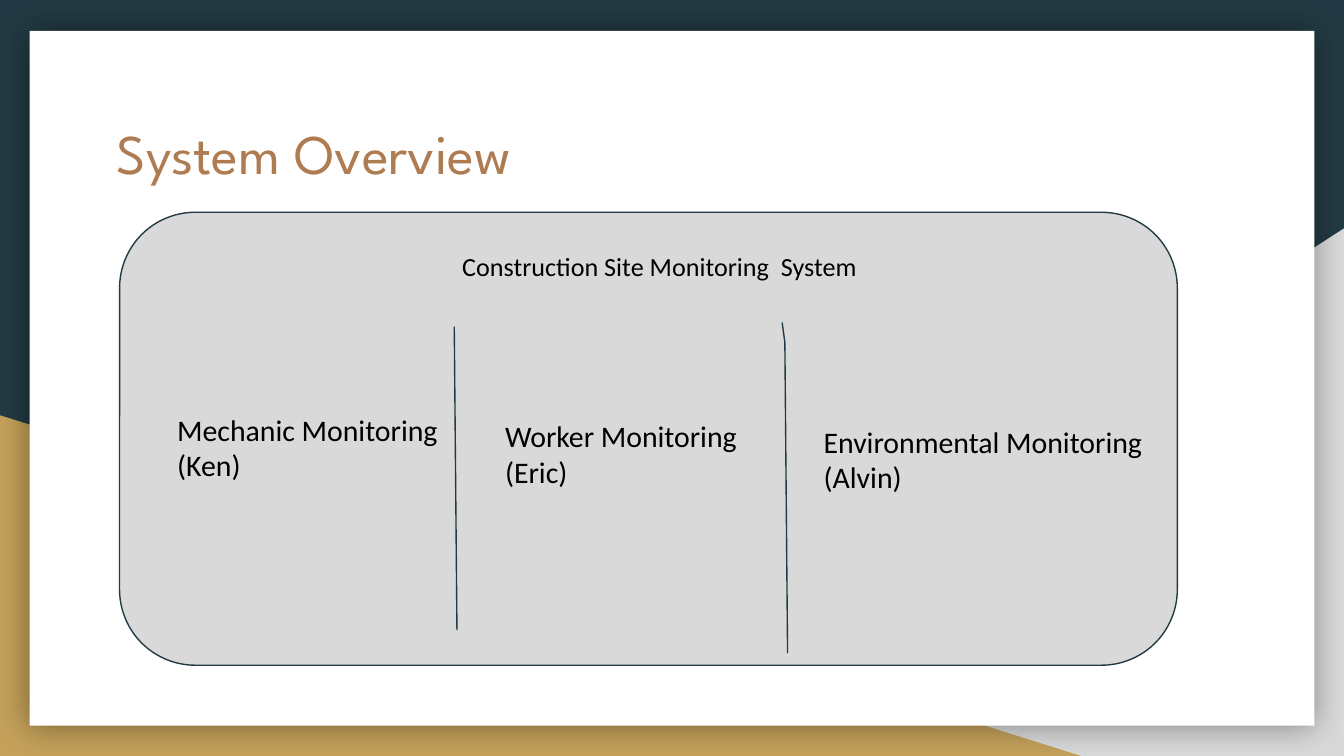
from typing import NamedTuple

from pptx import Presentation
from pptx.dml.color import RGBColor
from pptx.enum import shapes, text
from pptx.oxml import parse_xml
from pptx.oxml.ns import nsdecls
from pptx.util import Inches, Pt

COLORS = {
    "navy": "233A44",
    "grey": "D9D9D9",
    "gold": "C4A15A",
    "white": "FFFFFF",
    "copper": "AF7B51",
    "black": "000000",
}
SHAPE = shapes.MSO_SHAPE
SLIDE_WIDTH = 10
SLIDE_HEIGHT = SLIDE_WIDTH * 9 / 16


class Box(NamedTuple):
    left: float
    top: float
    width: float
    height: float


class Label(NamedTuple):
    box: Box
    lines: tuple[str, ...]
    size: int = 16


LABELS = [
    Label(Box(3.34, 1.76, 3.41, 0.44), ("Construction Site Monitoring  System",), 14),
    Label(Box(1.22, 2.96, 2.18, 0.74), ("Mechanic Monitoring", "(Ken)")),
    Label(Box(3.66, 3.01, 2.01, 0.74), ("Worker Monitoring", "(Eric)")),
    Label(Box(6.03, 3.05, 2.68, 0.74), ("Environmental Monitoring", "(Alvin)")),
]
DIVIDERS = [
    [(3.38, 2.43), (3.4, 4.69)],
    [(5.82, 2.4), (5.84, 2.55), (5.86, 4.86)],
]


def rgb(name: str) -> RGBColor:
    return RGBColor.from_string(COLORS[name])


def emu(values) -> list[int]:
    return [Inches(v) for v in values]


def outline(sp) -> None:
    sp.line.color.rgb = rgb("navy")
    sp.line.width = Pt(0.75)


def add_shape(s, kind, box: Box, fill: str):
    sp = s.shapes.add_shape(kind, *emu(box))
    sp.shadow.inherit = False
    sp.fill.solid()
    sp.fill.fore_color.rgb = rgb(fill)
    sp.line.fill.background()
    return sp


def add_glow(sp) -> None:
    """Give the shape a soft, centred shadow."""
    sp._element.spPr.find("{*}effectLst").append(parse_xml(
        f'<a:outerShdw {nsdecls("a")} blurRad="{Pt(18)}" dist="0" dir="0" '
        'algn="ctr" rotWithShape="0"><a:srgbClr val="000000">'
        '<a:alpha val="40000"/></a:srgbClr></a:outerShdw>'))


def write(tf, lines, *, size: int, font: str = "Calibri", color: str = "black") -> None:
    tf.word_wrap = True
    tf.auto_size = text.MSO_AUTO_SIZE.NONE
    tf.vertical_anchor = text.MSO_ANCHOR.TOP
    tf.margin_left = tf.margin_right = tf.margin_top = tf.margin_bottom = Inches(0.1)
    for i, line in enumerate(lines):
        p = tf.add_paragraph() if i else tf.paragraphs[0]
        p.alignment = text.PP_ALIGN.LEFT
        r = p.add_run()
        r.text = line
        r.font.size = Pt(size)
        r.font.name = font
        r.font.color.rgb = rgb(color)


def add_title(s, box: Box, title: str) -> None:
    sp = s.shapes.title
    sp.left, sp.top, sp.width, sp.height = emu(box)
    write(sp.text_frame, [title], size=30, font="League Spartan", color="copper")
    s.shapes._spTree.append(sp._element)  # bring in front of the white card


def add_label(s, label: Label) -> None:
    sp = s.shapes.add_textbox(*emu(label.box))
    write(sp.text_frame, label.lines, size=label.size)


def add_divider(s, points) -> None:
    start, *rest = [emu(point) for point in points]
    builder = s.shapes.build_freeform(*start)
    builder.add_line_segments(rest, close=False)
    sp = builder.convert_to_shape()
    sp.shadow.inherit = False
    sp.fill.background()
    outline(sp)


def main() -> None:
    prs = Presentation()
    prs.slide_width, prs.slide_height = emu((SLIDE_WIDTH, SLIDE_HEIGHT))
    s = prs.slides.add_slide(prs.slide_layouts[5])
    s.background.fill.solid()
    s.background.fill.fore_color.rgb = rgb("navy")

    corner = add_shape(s, SHAPE.RIGHT_TRIANGLE, Box(3.92, 1.7, 6.08, 3.93), "grey")
    corner._element.spPr.xfrm.set("flipH", "1")
    add_shape(s, SHAPE.RIGHT_TRIANGLE, Box(0, 3.09, 8.06, 2.54), "gold")
    add_glow(add_shape(s, SHAPE.RECTANGLE, Box(0.22, 0.23, 9.56, 5.17), "white"))
    add_title(s, Box(0.77, 0.78, 8.21, 1.04), "System Overview")

    panel = add_shape(s, SHAPE.ROUNDED_RECTANGLE, Box(0.89, 1.58, 7.87, 3.37), "grey")
    panel.adjustments[0] = 0.167
    outline(panel)
    for label in LABELS:
        add_label(s, label)
    for points in DIVIDERS:
        add_divider(s, points)
    prs.save("out.pptx")


if __name__ == "__main__":
    main()
